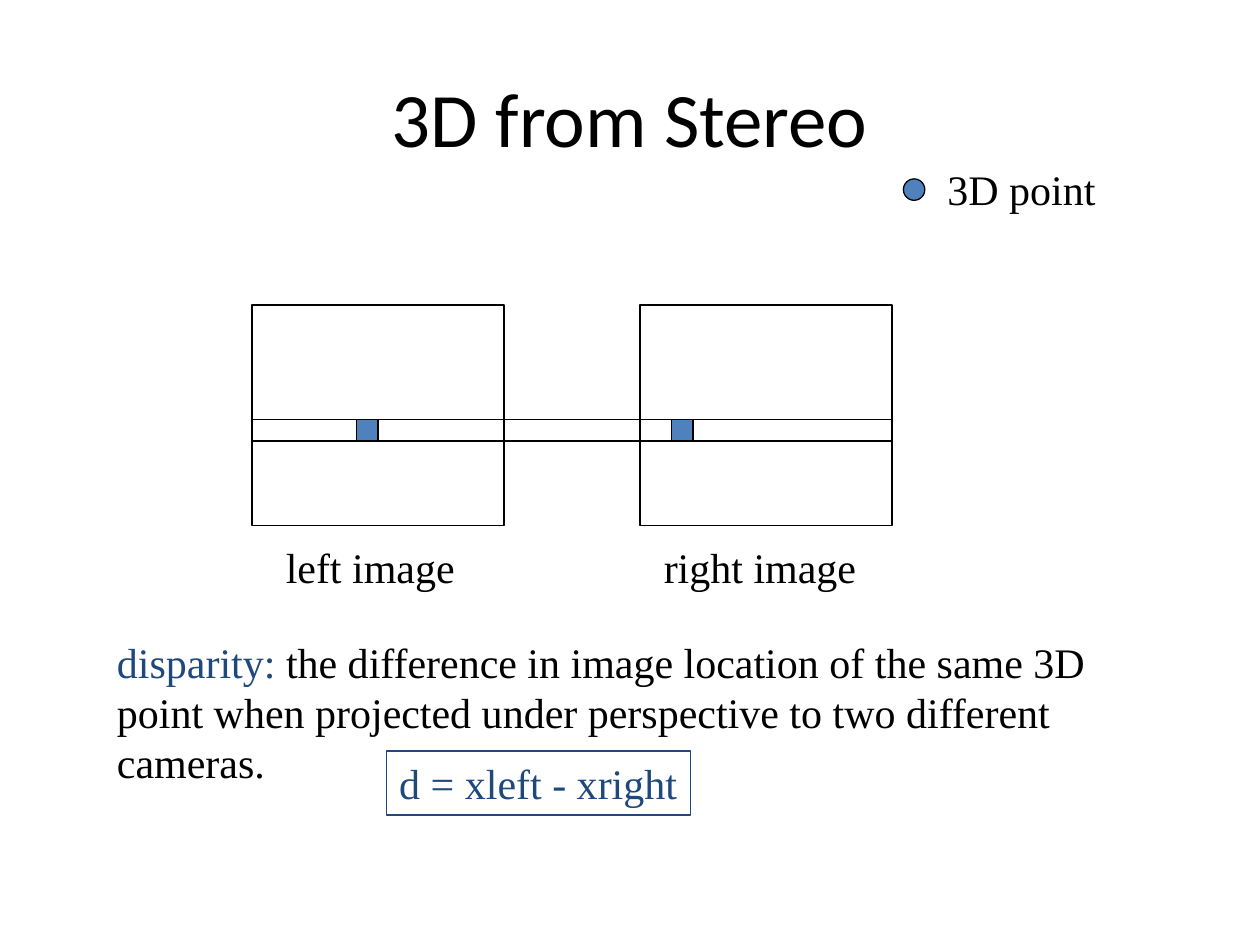
from dataclasses import dataclass

from lxml import etree
from pptx import Presentation
from pptx import util as u
from pptx.dml.color import RGBColor
from pptx.enum import shapes, text
from pptx.oxml import ns


@dataclass(frozen=True)
class Theme:
    ink: str = "000000"
    accent: str = "1F497D"
    marker: str = "4F81BD"
    heading_font: str = "Calibri"
    body_font: str = "Times New Roman"
    title_size: int = 44
    body_size: int = 24
    line_width: float = 0.75


THEME = Theme()
RECT = shapes.MSO_SHAPE.RECTANGLE
OVAL = shapes.MSO_SHAPE.OVAL


def set_values(target, values):
    for name, value in values.items():
        setattr(target, name, value)


def set_line(line, color):
    line.color.rgb = RGBColor.from_string(color)
    line.width = u.Pt(THEME.line_width)


def add_figure(page, kind, left, top, width, height, fill=None, line=THEME.ink):
    """Add an outlined preset shape, filled only if a colour is given."""
    figure = page.shapes.add_shape(kind, *map(u.Inches, (left, top, width, height)))
    figure.shadow.inherit = False
    if fill:
        figure.fill.solid()
        figure.fill.fore_color.rgb = RGBColor.from_string(fill)
    else:
        figure.fill.background()
    set_line(figure.line, line)
    return figure


def add_rule(page, left, right, y):
    rule = page.shapes.add_connector(
        shapes.MSO_CONNECTOR.STRAIGHT, *map(u.Inches, (left, y, right, y)))
    set_line(rule.line, THEME.ink)
    etree.SubElement(rule._element.spPr, ns.qn("a:effectLst"))


def write(box, lines, font=THEME.body_font, size=THEME.body_size,
          align=text.PP_ALIGN.LEFT, frame_format=None):
    """Fill a box; each line is a list of (words, colour) spans."""
    frame = box.text_frame
    set_values(frame, frame_format or {
        "word_wrap": False,
        "auto_size": text.MSO_AUTO_SIZE.SHAPE_TO_FIT_TEXT,
        "vertical_anchor": text.MSO_ANCHOR.TOP,
    })
    for index, spans in enumerate(lines):
        para = frame.add_paragraph() if index else frame.paragraphs[0]
        para.alignment = align
        for words, color in spans:
            span = para.add_run()
            span.text = words
            set_values(span.font, {"name": font, "size": u.Pt(size)})
            span.font.color.rgb = RGBColor.from_string(color)


def add_text(page, left, top, width, height, lines, **options):
    box = page.shapes.add_textbox(*map(u.Inches, (left, top, width, height)))
    write(box, lines, **options)


def add_title(page, words):
    add_text(page, 0.5, 0.3, 9, 1.25, [[(words, THEME.ink)]],
             font=THEME.heading_font, size=THEME.title_size,
             align=text.PP_ALIGN.CENTER,
             frame_format={"word_wrap": True,
                           "vertical_anchor": text.MSO_ANCHOR.MIDDLE})


def add_stereo_pair(page):
    frame_width, frame_height, frame_top = 2, 1.75, 2.42
    left_frame, right_frame = 2, 5.08
    band_top, marker_size = 3.33, 0.17

    # Image frames
    for left in (left_frame, right_frame):
        add_figure(page, RECT, left, frame_top, frame_width, frame_height)

    # Captions
    for words, left, width in (("left image", 2.17, 1.54),
                               ("right image", 5.17, 1.73)):
        add_text(page, left, 4.25, width, 0.5, [[(words, THEME.ink)]])

    # Matching pixels
    for left in (2.83, 5.33):
        add_figure(page, RECT, left, band_top, marker_size, marker_size,
                   fill=THEME.marker)

    # Band of rows shared by both images
    for y in (band_top, band_top + marker_size):
        add_rule(page, left_frame, right_frame + frame_width, y)

    # Point in the scene
    add_figure(page, OVAL, 7.17, 1.42, marker_size, marker_size,
               fill=THEME.marker)
    add_text(page, 7.42, 1.25, 1.38, 0.5, [[("3D point", THEME.ink)]])


def add_definition(page):
    add_text(page, 0.83, 5, 8.86, 0.9, [
        [("disparity:", THEME.accent),
         (" the difference in image location of the same 3D", THEME.ink)],
        [("point when projected under perspective to two different cameras.",
          THEME.ink)],
    ])
    formula = add_figure(page, RECT, 3.07, 5.96, 2.41, 0.51, line=THEME.accent)
    write(formula, [[("d = xleft - xright", THEME.accent)]])


def main():
    deck = Presentation()
    set_values(deck, {"slide_width": u.Inches(10), "slide_height": u.Inches(7.5)})
    page = deck.slides.add_slide(deck.slide_layouts[6])
    add_title(page, "3D from Stereo")
    add_stereo_pair(page)
    add_definition(page)
    deck.save("out.pptx")


if __name__ == "__main__":
    main()
